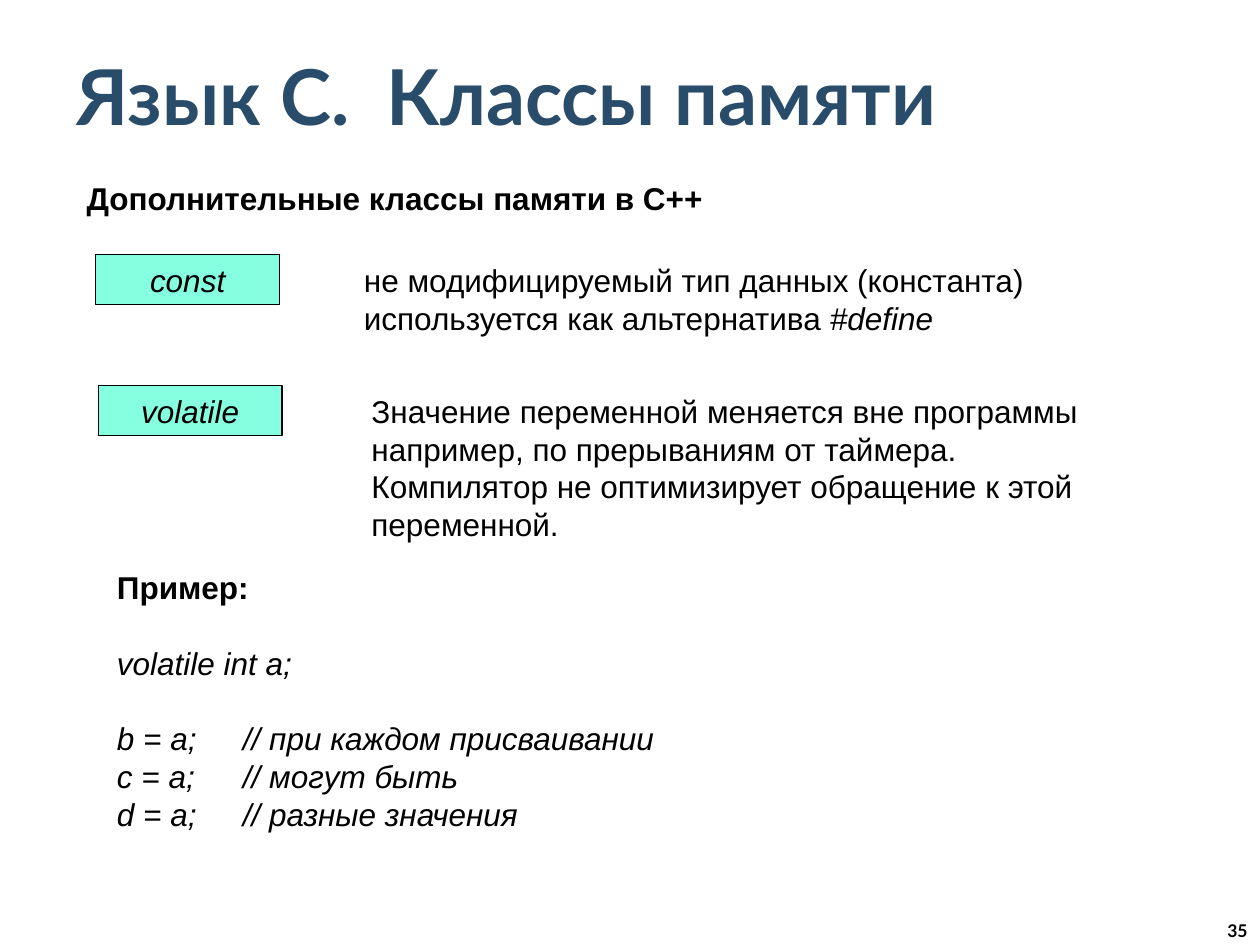
import pptx
import pptx.dml.color
import pptx.enum.shapes
import pptx.enum.text
import pptx.util

COLORS = {"title": "284C6A", "text": "000000", "keyword": "85FFE0"}
ALIGN = pptx.enum.text.PP_ALIGN
ANCHOR = pptx.enum.text.MSO_ANCHOR
BODY_SIZE = 18
BLANK_LINE = 1.2 * BODY_SIZE  # points


def rgb(name):
    return pptx.dml.color.RGBColor.from_string(COLORS[name])


class SlideBuilder:
    """Holds the style and the slide; lengths are cells of a 100 x 75 grid."""

    columns = 100
    rows = 75

    def __init__(self, presentation):
        self.cell_width = presentation.slide_width / self.columns
        self.cell_height = presentation.slide_height / self.rows
        self.slide = presentation.slides.add_slide(presentation.slide_layouts[6])

    def box(self, column, row, width, height):
        return (int(column * self.cell_width), int(row * self.cell_height),
                int(width * self.cell_width), int(height * self.cell_height))

    def style(self, paragraph, size=BODY_SIZE, font="Arial", color="text",
              bold=False, italic=False, align=ALIGN.LEFT):
        paragraph.alignment = align
        paragraph.font.size = pptx.util.Pt(size)
        paragraph.font.name = font
        paragraph.font.color.rgb = rgb(color)
        paragraph.font.bold = bold
        paragraph.font.italic = italic

    def text(self, place, lines, anchor=ANCHOR.TOP, **style):
        """Add a text box with one paragraph per line; return the paragraphs."""
        frame = self.slide.shapes.add_textbox(*self.box(*place)).text_frame
        frame.word_wrap = True
        frame.vertical_anchor = anchor
        frame.text = "\n".join(lines)
        for paragraph in frame.paragraphs:
            self.style(paragraph, **style)
        return frame.paragraphs

    def keyword(self, place, word):
        shape = self.slide.shapes.add_shape(
            pptx.enum.shapes.MSO_SHAPE.RECTANGLE, *self.box(*place))
        shape.shadow.inherit = False
        shape.fill.solid()
        shape.fill.fore_color.rgb = rgb("keyword")
        shape.line.color.rgb = rgb("text")
        shape.line.width = pptx.util.Pt(0.75)
        shape.text_frame.text = word
        self.style(shape.text_frame.paragraphs[0], italic=True, align=ALIGN.CENTER)


def main():
    presentation = pptx.Presentation()
    presentation.slide_width = pptx.util.Inches(10)
    presentation.slide_height = pptx.util.Inches(7.5)
    builder = SlideBuilder(presentation)

    # Title and subtitle
    builder.text((5.1, 4.4, 87.5, 6.2), ["Язык С.  Классы памяти"],
                 anchor=ANCHOR.MIDDLE, size=44, font="Lato", color="title", bold=True)
    builder.text((5.9, 13.7, 78.3, 4), ["Дополнительные классы памяти в С++"], bold=True)

    # Storage classes: keyword and explanation
    const_row, volatile_row = 20.2, 30.6
    const_lines = builder.text((27.9, const_row, 68.4, 7.1), [
        "не модифицируемый тип данных (константа)",
        "используется как альтернатива ",
    ])
    directive = const_lines[1].add_run()
    directive.text = "#define"
    directive.font.italic = True
    builder.text((28.5, volatile_row, 68.4, 13.1), [
        "Значение переменной меняется вне программы",
        "например, по прерываниям от таймера.",
        "Компилятор не оптимизирует обращение к этой переменной.",
    ])
    builder.keyword((7.6, const_row, 14.6, 4), "const")
    builder.keyword((7.8, volatile_row, 14.6, 4), "volatile")

    # Code example
    example = builder.text((8.3, 44.6, 68.5, 22.2), [
        "Пример:",
        "volatile int a;",
        "b = a;\t// при каждом присваивании",
        "c = a;\t// могут быть",
        "d = a;\t// разные значения",
    ], italic=True)
    builder.style(example[0], bold=True)
    for paragraph in example[1:3]:
        paragraph.space_before = pptx.util.Pt(BLANK_LINE)

    # Page number
    builder.text((79.2, 72.5, 20.8, 2.5), ["35"],
                 size=10, font="Lato", bold=True, align=ALIGN.RIGHT)

    presentation.save("out.pptx")


if __name__ == "__main__":
    main()
